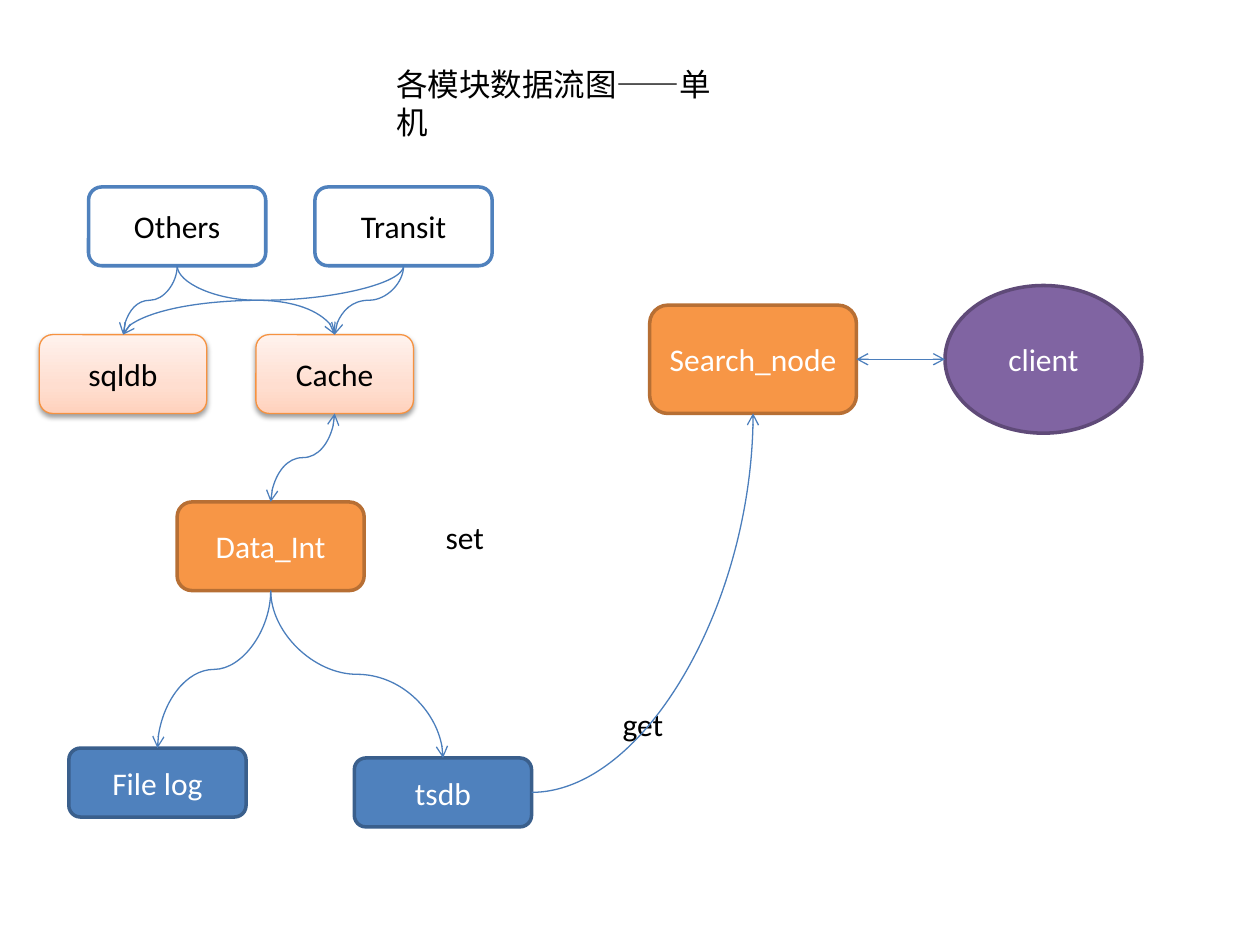
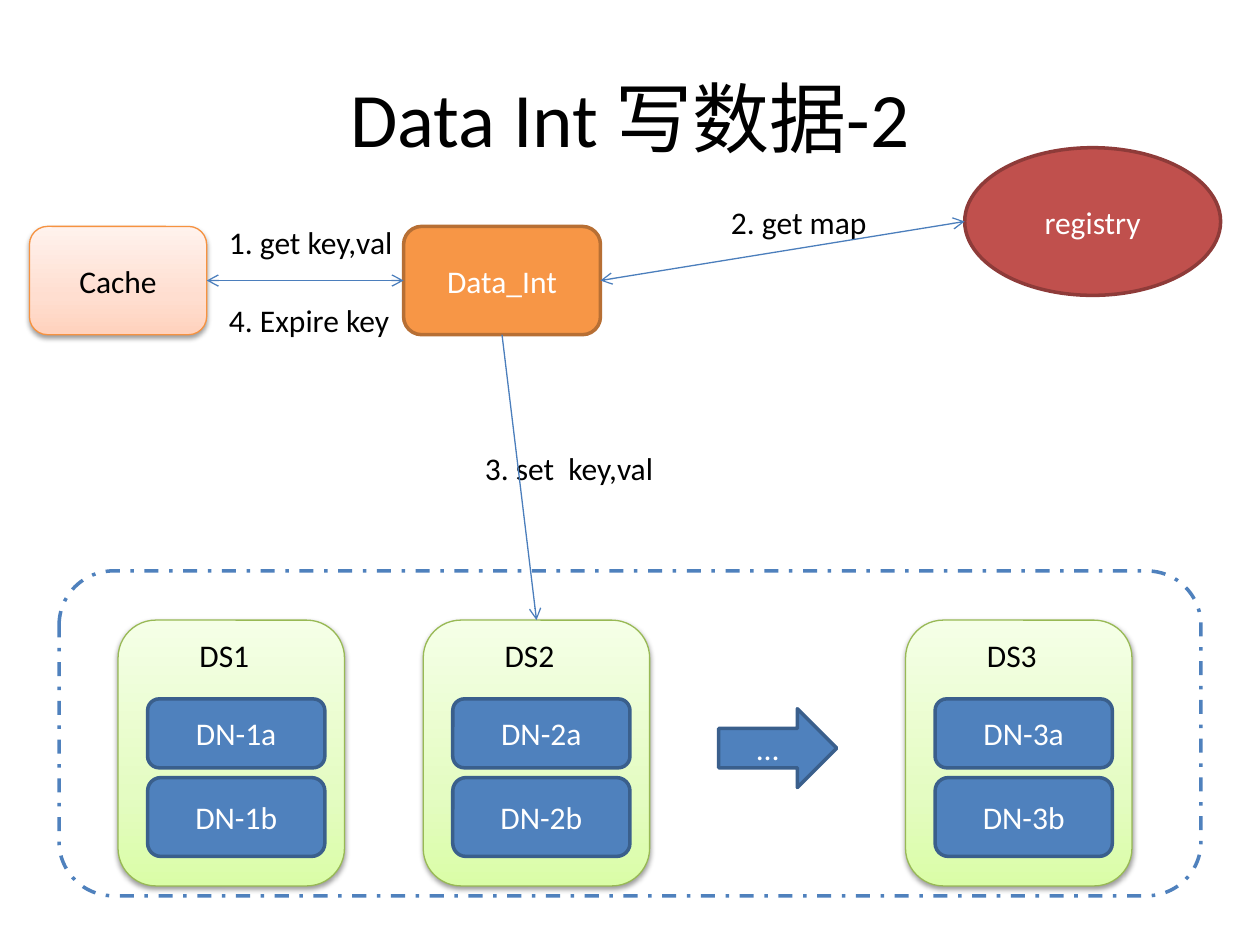
"""Build two data-flow slides: the single-machine module overview and the Data Int write path."""
from copy import deepcopy
from dataclasses import dataclass
from enum import Enum

from lxml.etree import SubElement
from pptx import Presentation
from pptx.dml.color import RGBColor as Rgb
from pptx.enum.dml import MSO_LINE_DASH_STYLE as Dash
from pptx.enum.shapes import MSO_CONNECTOR as Link
from pptx.enum.shapes import MSO_SHAPE as Shape
from pptx.enum.text import MSO_ANCHOR as Anchor
from pptx.enum.text import MSO_AUTO_SIZE as AutoSize
from pptx.enum.text import PP_ALIGN as Align
from pptx.oxml.ns import qn
from pptx.util import Pt


@dataclass(frozen=True)
class Style:
    """Fill (one colour, or three gradient colours from the bottom up), outline and text colour."""
    fill: tuple[str, ...]
    line: str
    text: str = "FFFFFF"
    width: float = 2
    dash: Dash | None = None


@dataclass(frozen=True)
class Theme:
    """Colours, font and type sizes shared by both slides."""
    font: str = "Calibri"
    title_size: float = 44
    body_size: float = 18
    ink: str = "000000"
    link: str = "4B7EBC"
    link_width: float = 0.75
    stops: tuple[float, ...] = (0, 0.35, 1)
    outline: Style = Style(("FFFFFF",), "4F81BD", "000000")
    cluster: Style = Style(("FFFFFF",), "4F81BD", dash=Dash.DASH_DOT)
    orange: Style = Style(("F79646",), "B76F34")
    blue: Style = Style(("4F81BD",), "3A5F8C")
    purple: Style = Style(("8064A2",), "5F4A78")
    red: Style = Style(("C0504D",), "8E3B39")
    peach: Style = Style(("FFD2BD", "FFDED0", "FFF2ED"), "F69240", "000000", 0.75)
    green: Style = Style(("DAFDA7", "E4FCC2", "F5FFE7"), "98B955", "000000", 0.75)


THEME = Theme()


class Port(Enum):
    """Side of a node: site number, horizontal share, vertical share."""
    TOP = (0, 0.5, 0)
    LEFT = (1, 0, 0.5)
    BOTTOM = (2, 0.5, 1)
    RIGHT = (3, 1, 0.5)


class Route(Enum):
    """Course of a connector."""
    STRAIGHT = "line"
    ACROSS = "curvedConnector3"
    DOWN = "curvedConnector3 turned"
    BEND = "curvedConnector2"


@dataclass(frozen=True)
class Node:
    """A shape with its caption; lengths in points."""
    text: str
    left: float
    top: float
    width: float
    height: float
    style: Style
    shape: Shape = Shape.ROUNDED_RECTANGLE

    def at(self, port: Port) -> tuple[float, float]:
        """Return the point where a connector meets this side."""
        _, across, down = port.value
        return self.left + across * self.width, self.top + down * self.height

    def site(self, port: Port) -> int:
        """Return the connection site number; ellipses have eight sites."""
        return port.value[0] * (2 if self.shape is Shape.OVAL else 1)


@dataclass(frozen=True)
class Label:
    """Free text; lengths in points."""
    text: str
    left: float
    top: float
    width: float
    wrap: bool = False


@dataclass(frozen=True)
class Flow:
    """An arrow between two nodes."""
    start: str
    start_port: Port
    end: str
    end_port: Port
    route: Route
    both: bool = False


def write(frame, text: str, *, size: float = THEME.body_size, color: str = THEME.ink,
          align: Align = Align.LEFT, anchor: Anchor = Anchor.TOP, wrap: bool = True) -> None:
    """Put one formatted paragraph into a text frame."""
    frame.word_wrap = wrap
    frame.vertical_anchor = anchor
    para = frame.paragraphs[0]
    para.alignment = align
    span = para.add_run()
    span.text = text
    span.font.name = THEME.font
    span.font.size = Pt(size)
    span.font.color.rgb = Rgb.from_string(color)


def shade(box, colors: tuple[str, ...]) -> None:
    """Give a shape a three-colour upward gradient and a soft shadow below."""
    box.fill.gradient()
    box.fill.gradient_angle = 90
    properties = box._element.spPr
    stop_list = properties.find(".//" + qn("a:gsLst"))
    stop_list.append(deepcopy(stop_list[0]))
    for stop, color, position in zip(box.fill.gradient_stops, colors, THEME.stops):
        stop.color.rgb = Rgb.from_string(color)
        stop.position = position
    shadow = SubElement(properties.find(qn("a:effectLst")), qn("a:outerShdw"),
                        blurRad=str(Pt(3.1)), dist=str(Pt(1.6)), dir="5400000", rotWithShape="0")
    tint = SubElement(shadow, qn("a:srgbClr"), val=THEME.ink)
    SubElement(tint, qn("a:alpha"), val="38000")


def draw_node(slide, node: Node):
    """Draw a node and return its shape."""
    style = node.style
    box = slide.shapes.add_shape(node.shape, Pt(node.left), Pt(node.top),
                                 Pt(node.width), Pt(node.height))
    box.shadow.inherit = False
    box.line.color.rgb = Rgb.from_string(style.line)
    box.line.width = Pt(style.width)
    if style.dash:
        box.line.dash_style = style.dash
    if len(style.fill) > 1:
        shade(box, style.fill)
    else:
        box.fill.solid()
        box.fill.fore_color.rgb = Rgb.from_string(style.fill[0])
    if node.text:
        write(box.text_frame, node.text, color=style.text, align=Align.CENTER,
              anchor=Anchor.MIDDLE)
    return box


def draw_label(slide, label: Label) -> None:
    """Draw free text that grows with its content."""
    box = slide.shapes.add_textbox(Pt(label.left), Pt(label.top), Pt(label.width), Pt(29.08))
    write(box.text_frame, label.text, wrap=label.wrap)
    box.text_frame.auto_size = AutoSize.SHAPE_TO_FIT_TEXT


def place_link(link, start: tuple[float, float], end: tuple[float, float], route: Route) -> None:
    """Set the frame, flips and turn of a connector."""
    (x1, y1), (x2, y2) = start, end
    width, height = abs(x2 - x1), abs(y2 - y1)
    middle_x, middle_y = (x1 + x2) / 2, (y1 + y2) / 2
    turn, flip_h, flip_v = 0, x2 < x1, y2 < y1
    if route is Route.DOWN:
        width, height = height, width
        turn, flip_h = (90, False) if x2 < x1 else (270, True)
    link.left, link.top = Pt(middle_x - width / 2), Pt(middle_y - height / 2)
    link.width, link.height = Pt(width), Pt(height)
    properties = link._element.spPr
    frame = properties.find(qn("a:xfrm"))
    frame.set("rot", str(turn * 60000))
    frame.set("flipH", str(int(flip_h)))
    frame.set("flipV", str(int(flip_v)))
    properties.find(qn("a:prstGeom")).set("prst", route.value.split()[0])


def draw_flow(slide, flow: Flow, nodes: dict[str, Node], boxes: dict) -> None:
    """Draw an arrow glued to its two nodes."""
    first, last = nodes[flow.start], nodes[flow.end]
    kind = Link.STRAIGHT if flow.route is Route.STRAIGHT else Link.CURVE
    link = slide.shapes.add_connector(kind, 0, 0, 0, 0)
    link.begin_connect(boxes[flow.start], first.site(flow.start_port))
    link.end_connect(boxes[flow.end], last.site(flow.end_port))
    place_link(link, first.at(flow.start_port), last.at(flow.end_port), flow.route)
    link.line.color.rgb = Rgb.from_string(THEME.link)
    link.line.width = Pt(THEME.link_width)
    outline = link.line._get_or_add_ln()
    if flow.both:
        SubElement(outline, qn("a:headEnd"), type="arrow")
    SubElement(outline, qn("a:tailEnd"), type="arrow")
    SubElement(link._element.spPr, qn("a:effectLst"))


def draw_diagram(slide, nodes: dict[str, Node], labels: list[Label], flows: list[Flow]) -> None:
    """Draw nodes, then labels, then arrows."""
    boxes = {name: draw_node(slide, node) for name, node in nodes.items()}
    for label in labels:
        draw_label(slide, label)
    for flow in flows:
        draw_flow(slide, flow, nodes, boxes)


def module_overview(slide) -> None:
    """Draw the single-machine data flow between modules."""
    nodes = {
        "others": Node("Others", 50.63, 106.88, 101.25, 45, THEME.outline),
        "transit": Node("Transit", 180, 106.88, 101.25, 45, THEME.outline),
        "database": Node("sqldb", 22.5, 191.25, 95.63, 45, THEME.peach),
        "cache": Node("Cache", 146.25, 191.25, 90, 45, THEME.peach),
        "data_int": Node("Data_Int", 101.25, 286.88, 106.88, 50.63, THEME.orange),
        "file_log": Node("File log", 39.38, 427.5, 101.25, 39.38, THEME.blue),
        "tsdb": Node("tsdb", 202.5, 433.13, 101.25, 39.38, THEME.blue),
        "search": Node("Search_node", 371.25, 174.38, 118.13, 61.88, THEME.orange),
        "client": Node("client", 540, 163.13, 112.5, 84.38, THEME.purple, Shape.OVAL),
    }
    labels = [
        Label("各模块数据流图——单机", 219.38, 33.75, 211),
        Label("set", 247.5, 292.5, 36.7),
        Label("get", 348.75, 399.38, 38.2),
    ]
    downward = [(source, target) for source in ("others", "transit")
                for target in ("database", "cache")]
    downward += [("data_int", "file_log"), ("data_int", "tsdb")]
    flows = [Flow(source, Port.BOTTOM, target, Port.TOP, Route.DOWN)
             for source, target in downward]
    flows += [
        Flow("cache", Port.BOTTOM, "data_int", Port.TOP, Route.DOWN, both=True),
        Flow("search", Port.RIGHT, "client", Port.LEFT, Route.ACROSS, both=True),
        Flow("tsdb", Port.RIGHT, "search", Port.BOTTOM, Route.BEND),
    ]
    draw_diagram(slide, nodes, labels, flows)


def write_path(slide) -> None:
    """Draw how Data Int writes to the data servers."""
    title = slide.shapes.add_textbox(Pt(36), Pt(21.6), Pt(648), Pt(90))
    write(title.text_frame, "Data Int 写数据-2", size=THEME.title_size,
          align=Align.CENTER, anchor=Anchor.MIDDLE)
    nodes = {
        "cluster": Node("", 33.75, 326.25, 652.5, 185.63, THEME.cluster),
        "cache": Node("Cache", 16.88, 129.38, 101.25, 61.88, THEME.peach),
        "data_int": Node("Data_Int", 230.63, 129.38, 112.5, 61.88, THEME.orange),
        "registry": Node("registry", 551.25, 84.38, 146.25, 84.38, THEME.red, Shape.OVAL),
        "more": Node("…", 410.63, 405, 67.5, 45, THEME.blue, Shape.RIGHT_ARROW),
    }
    labels = [
        Label("1. get key,val ", 123.75, 123.75, 113),
        Label("2. get map", 410.63, 112.5, 112.5, wrap=True),
        Label("3. set  key,val", 270, 253.13, 111.6),
        Label("4. Expire key", 123.75, 168.75, 118.13, wrap=True),
    ]
    for number, left in enumerate((67.5, 241.88, 517.5), start=1):
        nodes[f"server{number}"] = Node("", left, 354.38, 129.38, 151.88, THEME.green)
        for letter, top, height in (("a", 399.38, 39.38), ("b", 444.38, 45)):
            name = f"DN-{number}{letter}"
            nodes[name] = Node(name, left + 16.88, top, 101.25, height, THEME.blue)
        labels.append(Label(f"DS{number}", left + 39.38, 360, 61.88, wrap=True))
    flows = [
        Flow("cache", Port.RIGHT, "data_int", Port.LEFT, Route.STRAIGHT, both=True),
        Flow("data_int", Port.RIGHT, "registry", Port.LEFT, Route.STRAIGHT, both=True),
        Flow("data_int", Port.BOTTOM, "server2", Port.TOP, Route.STRAIGHT),
    ]
    draw_diagram(slide, nodes, labels, flows)


def main() -> None:
    """Build and save the deck."""
    deck = Presentation()
    deck.slide_width, deck.slide_height = Pt(720), Pt(540)
    for build in (module_overview, write_path):
        page = deck.slides.add_slide(deck.slide_layouts[6])
        build(page)
    deck.save("out.pptx")


main()
